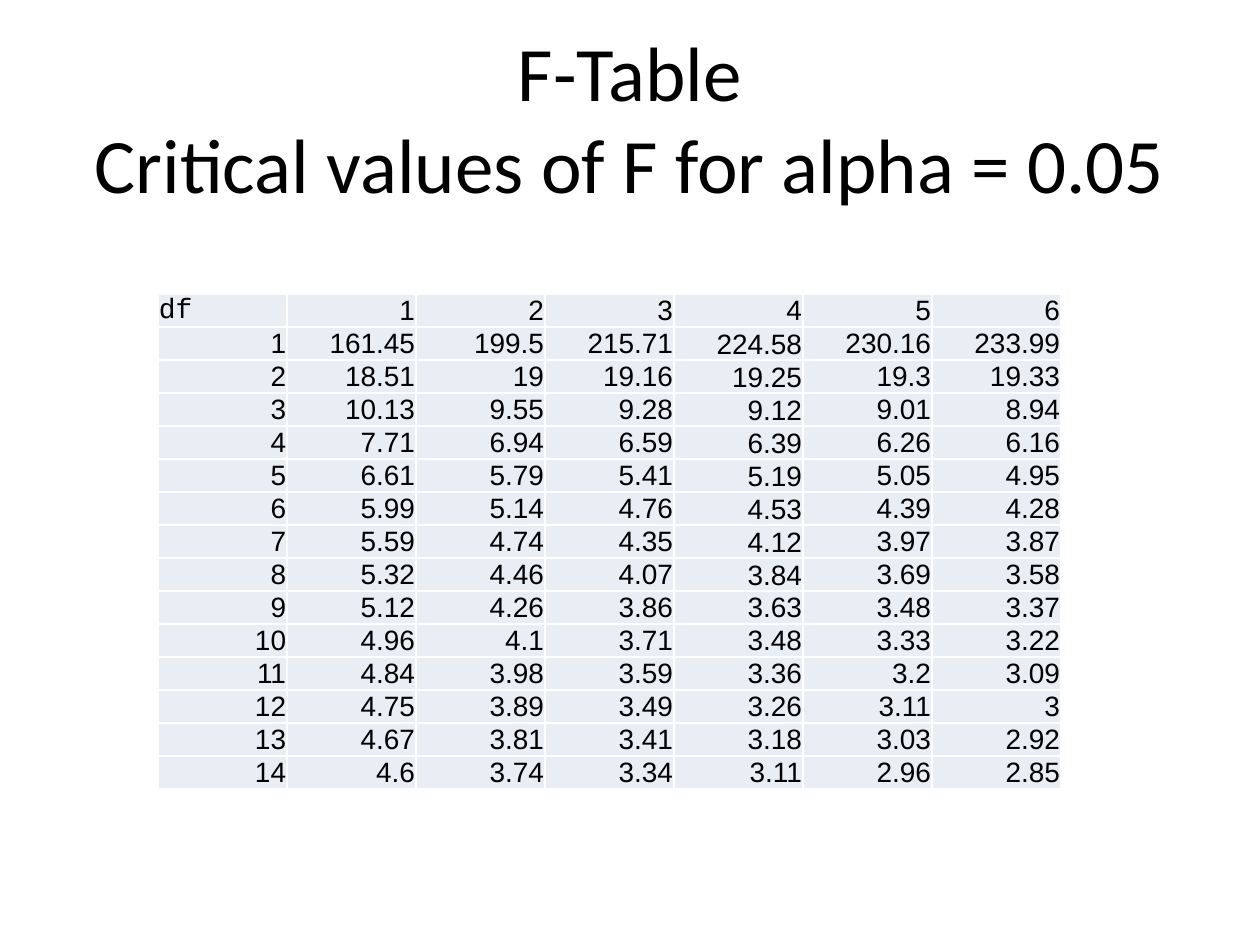
"""Build the F-table slide of critical values for alpha = 0.05."""
from lxml.etree import SubElement
from pptx import Presentation
from pptx.dml.color import RGBColor
from pptx.enum.text import MSO_ANCHOR as Anchor, MSO_AUTO_SIZE as AutoSize, PP_ALIGN as Align
from pptx.oxml.ns import qn
from pptx.util import Pt

PX = 914400 // 126
COLUMN_WIDTH, ROW_HEIGHT = 129, 33
F_VALUES = """
df 1 2 3 4 5 6
1 161.45 199.5 215.71 224.58 230.16 233.99
2 18.51 19 19.16 19.25 19.3 19.33
3 10.13 9.55 9.28 9.12 9.01 8.94
4 7.71 6.94 6.59 6.39 6.26 6.16
5 6.61 5.79 5.41 5.19 5.05 4.95
6 5.99 5.14 4.76 4.53 4.39 4.28
7 5.59 4.74 4.35 4.12 3.97 3.87
8 5.32 4.46 4.07 3.84 3.69 3.58
9 5.12 4.26 3.86 3.63 3.48 3.37
10 4.96 4.1 3.71 3.48 3.33 3.22
11 4.84 3.98 3.59 3.36 3.2 3.09
12 4.75 3.89 3.49 3.26 3.11 3
13 4.67 3.81 3.41 3.18 3.03 2.92
14 4.6 3.74 3.34 3.11 2.96 2.85
"""


def color(code):
    return RGBColor.from_string(code)


def write(frame, text, font="Arial", size=16, align=Align.RIGHT):
    paragraph = frame.paragraphs[0]
    paragraph.text = text
    paragraph.alignment = align
    for run in paragraph.runs:
        run.font.name = font
        run.font.size = Pt(size)
        run.font.color.rgb = color("000000")


deck = Presentation()
deck.slide_width, deck.slide_height = 1260 * PX, 945 * PX
slide = deck.slides.add_slide(deck.slide_layouts[5])

heading = slide.shapes.title
heading.left, heading.top, heading.width, heading.height = [n * PX for n in (63, 38, 1134, 158)]
heading.text_frame.auto_size = AutoSize.NONE
heading.text_frame.vertical_anchor = Anchor.MIDDLE
write(heading.text_frame, "F-Table\vCritical values of F for alpha = 0.05",
      font="Calibri", size=44, align=Align.CENTER)

f_rows = [line.split() for line in F_VALUES.strip().splitlines()]
row_count, column_count = len(f_rows), len(f_rows[0])
f_table = slide.shapes.add_table(
    row_count, column_count, 158 * PX, 294 * PX,
    column_count * COLUMN_WIDTH * PX, row_count * ROW_HEIGHT * PX).table
f_table.first_row = f_table.horz_banding = False
for column in f_table.columns:
    column.width = COLUMN_WIDTH * PX
for row in f_table.rows:
    row.height = ROW_HEIGHT * PX

for r, values in enumerate(f_rows):
    for c, value in enumerate(values):
        cell = f_table.cell(r, c)
        cell.margin_left = cell.margin_right = cell.margin_top = PX
        cell.margin_bottom = 0
        at_bottom = r == row_count - 1 or (c == 4 and r > 0)
        cell.vertical_anchor = Anchor.BOTTOM if at_bottom else Anchor.MIDDLE
        if value == "df":
            write(cell.text_frame, value, font="Courier New", align=Align.LEFT)
        else:
            write(cell.text_frame, value)
        for side in ("lnL", "lnR", "lnT", "lnB"):
            border = SubElement(cell._tc.get_or_add_tcPr(), qn(f"a:{side}"), w=str(Pt(1)))
            SubElement(SubElement(border, qn("a:solidFill")), qn("a:srgbClr"), val="FFFFFF")
        cell.fill.solid()
        cell.fill.fore_color.rgb = color("E9EDF4")

deck.save("out.pptx")
